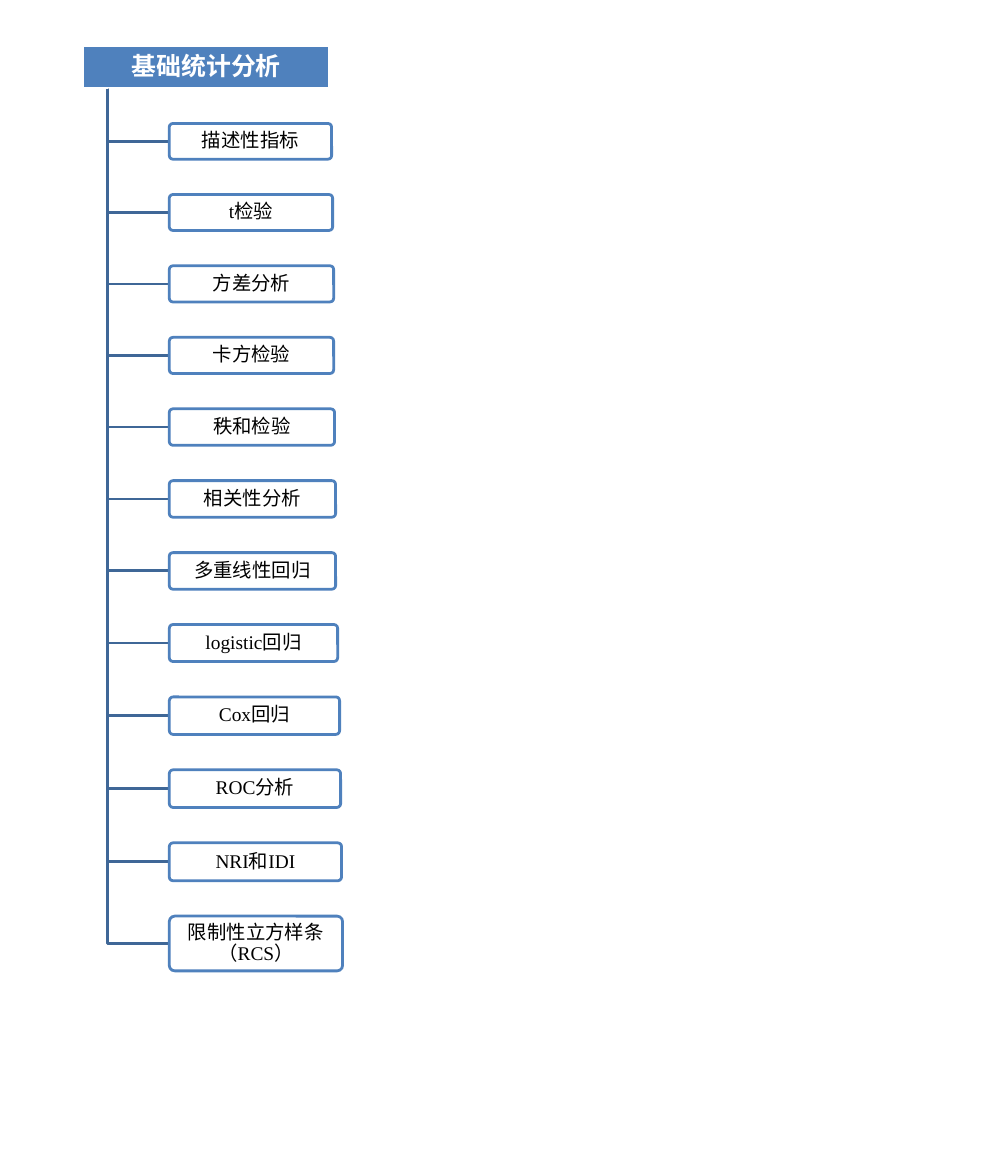
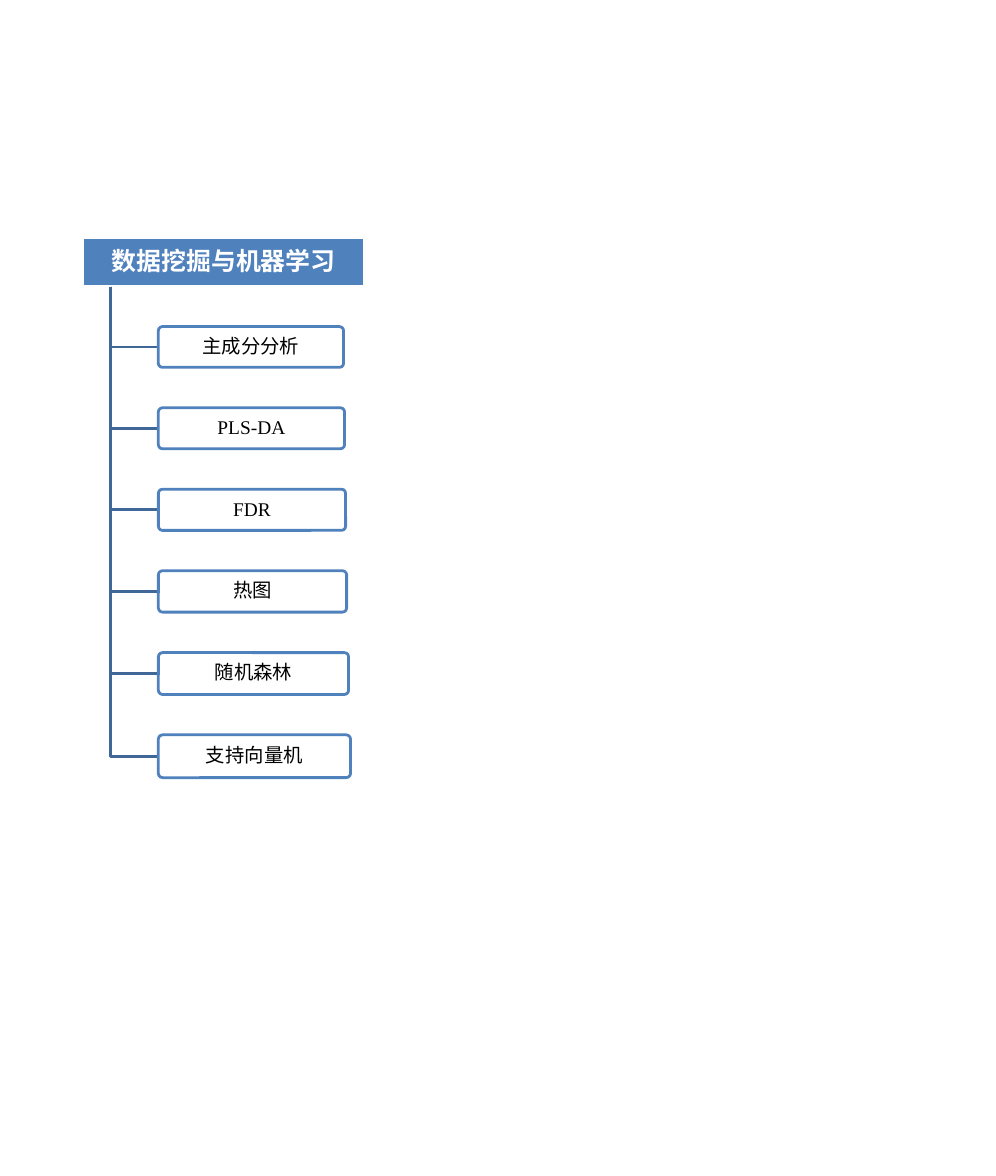
"""Build two slides, each a heading with a vertical branch of method boxes."""
import pptx
import pptx.dml.color
import pptx.enum.shapes
import pptx.enum.text
import pptx.oxml
import pptx.oxml.ns
import pptx.util

BLUE = pptx.dml.color.RGBColor(0x4F, 0x81, 0xBD)
DARK_BLUE = pptx.dml.color.RGBColor(0x3F, 0x67, 0x97)
WHITE = pptx.dml.color.RGBColor(0xFF, 0xFF, 0xFF)
BLACK = pptx.dml.color.RGBColor(0x00, 0x00, 0x00)

HAN, LATIN = "Calibri", "Times New Roman"

BRANCHES = [
    {
        "heading": "基础统计分析",
        "heading_box": (0.83, 0.46, 2.48, 0.43),
        "box_left": 1.7, "first_top": 1.24, "last_top": 9.2, "last_height": 0.55,
        "methods": [
            (1.63, [("描述性指标", HAN)]),
            (1.64, [("t", LATIN), ("检验", HAN)]),
            (1.65, [("方差分析", HAN)]),
            (1.65, [("卡方检验", HAN)]),
            (1.66, [("秩和检验", HAN)]),
            (1.67, [("相关性分析", HAN)]),
            (1.67, [("多重线性回归", HAN)]),
            (1.69, [("logistic", LATIN), ("回归", HAN)]),
            (1.71, [("Cox", LATIN), ("回归", HAN)]),
            (1.72, [("ROC分析", LATIN)]),
            (1.73, [("NRI和IDI", LATIN)]),
            (1.74, [("限制性立方样条（RCS）", LATIN)]),
        ],
    },
    {
        "heading": "数据挖掘与机器学习",
        "heading_box": (0.83, 2.39, 2.83, 0.49),
        "box_left": 1.59, "first_top": 3.28, "last_top": 7.38, "last_height": 0.43,
        "methods": [
            (1.86, [("主成分分析", HAN)]),
            (1.87, [("PLS-DA", LATIN)]),
            (1.88, [("FDR", LATIN)]),
            (1.89, [("热图", HAN)]),
            (1.91, [("随机森林", HAN)]),
            (1.93, [("支持向量机", HAN)]),
        ],
    },
]

HEIGHT_SHARE = 0.22
SPINE_SHARE = 0.1
CORNER = 0.1
LINE_WIDTH = pptx.util.Pt(2)
HEADING_FONT = {"size": pptx.util.Pt(18), "bold": True}
METHOD_FONT = {"size": pptx.util.Pt(14), "bold": False}
FRAME_FORMAT = {
    "word_wrap": True,
    "auto_size": pptx.enum.text.MSO_AUTO_SIZE.NONE,
    "vertical_anchor": pptx.enum.text.MSO_ANCHOR.MIDDLE,
    "margin_left": pptx.util.Inches(0.04),
    "margin_right": pptx.util.Inches(0.04),
    "margin_top": pptx.util.Inches(0.03),
    "margin_bottom": pptx.util.Inches(0.03),
}
PARAGRAPH_FORMAT = {"alignment": pptx.enum.text.PP_ALIGN.CENTER, "line_spacing": 0.9}


def set_all(target, values):
    for name, value in values.items():
        setattr(target, name, value)


def paint(shape, fill, line):
    shape.fill.solid()
    shape.fill.fore_color.rgb = fill
    shape.line.color.rgb = line
    shape.line.width = LINE_WIDTH


def write(shape, runs, font_format, color):
    set_all(shape.text_frame, FRAME_FORMAT)
    paragraph = shape.text_frame.paragraphs[0]
    set_all(paragraph, PARAGRAPH_FORMAT)
    for text, font_name in runs:
        run = paragraph.add_run()
        run.text = text
        set_all(run.font, {"name": font_name, **font_format})
        run.font.color.rgb = color


def add_heading(slide, text, box):
    title = slide.shapes.title
    set_all(title, dict(zip(("left", "top", "width", "height"), map(pptx.util.Inches, box))))
    title._element.spPr.append(pptx.oxml.parse_xml(
        f'<a:prstGeom {pptx.oxml.ns.nsdecls("a")} prst="roundRect"><a:avLst>'
        f'<a:gd name="adj" fmla="val {CORNER * 100000:.0f}"/></a:avLst></a:prstGeom>'))
    paint(title, BLUE, WHITE)
    write(title, [(text, HAN)], HEADING_FONT, WHITE)


def add_elbow(slide, spine, start, end, middle):
    spine, start, end, middle = map(pptx.util.Inches, (spine, start, end, middle))
    builder = slide.shapes.build_freeform(spine, start)
    builder.add_line_segments([(spine, middle), (end, middle)], close=False)
    elbow = builder.convert_to_shape()
    elbow.shadow.inherit = False
    elbow.fill.background()
    elbow.line.color.rgb = DARK_BLUE
    elbow.line.width = LINE_WIDTH


def add_method(slide, runs, box):
    shape = slide.shapes.add_shape(
        pptx.enum.shapes.MSO_SHAPE.ROUNDED_RECTANGLE, *map(pptx.util.Inches, box))
    shape.adjustments[0] = CORNER
    shape.shadow.inherit = False
    paint(shape, WHITE, BLUE)
    fill_color = shape._element.spPr.find(pptx.oxml.ns.qn("a:solidFill"))[0]
    fill_color.append(pptx.oxml.parse_xml(
        f'<a:alpha {pptx.oxml.ns.nsdecls("a")} val="90000"/>'))
    write(shape, runs, METHOD_FONT, BLACK)


def add_branch(slide, branch):
    left, top, width, height = branch["heading_box"]
    add_heading(slide, branch["heading"], branch["heading_box"])
    methods = branch["methods"]
    heights = [box_width * HEIGHT_SHARE for box_width, _ in methods[:-1]]
    span = branch["last_top"] - branch["first_top"]
    gap = (span - sum(heights)) / len(heights)
    heights.append(branch["last_height"])
    box_top = branch["first_top"]
    for (box_width, runs), box_height in zip(methods, heights):
        add_elbow(slide, left + width * SPINE_SHARE, top + height,
                  branch["box_left"], box_top + box_height / 2)
        add_method(slide, runs, (branch["box_left"], box_top, box_width, box_height))
        box_top += box_height + gap


presentation = pptx.Presentation()
presentation.slide_width = pptx.util.Inches(10)
presentation.slide_height = pptx.util.Inches(11.81)
title_only = presentation.slide_layouts.get_by_name("Title Only")
for branch in BRANCHES:
    add_branch(presentation.slides.add_slide(title_only), branch)
presentation.save("out.pptx")
